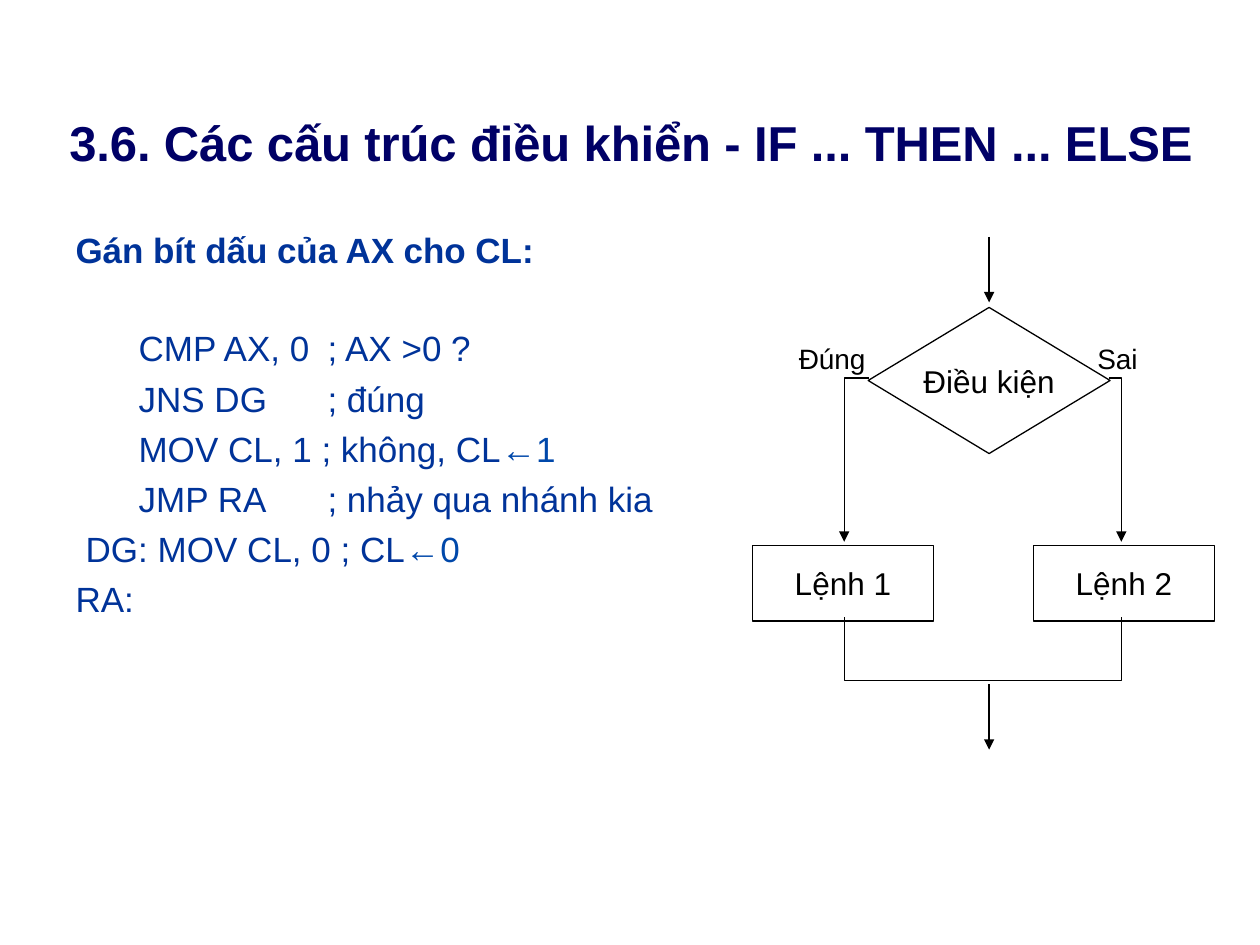
from lxml.etree import SubElement
from pptx import Presentation
from pptx.dml.color import RGBColor
from pptx.enum.shapes import MSO_CONNECTOR, MSO_SHAPE
from pptx.enum.text import MSO_ANCHOR, MSO_AUTO_SIZE, PP_ALIGN
from pptx.oxml.ns import qn
from pptx.util import Inches, Pt

COLUMNS, ROWS = 100, 75
CELL = Inches(10) / COLUMNS
BLACK, NAVY, BLUE, BRIGHT = "000000", "000066", "003399", "0048AA"
TITLE = "3.6. Các cấu trúc điều khiển - IF ... THEN ... ELSE"
HEADING = "Gán bít dấu của AX cho CL:"
CODE_LINES = [
    ("CMP AX, 0\t; AX >0 ?", "", 5),
    ("JNS DG\t; đúng", "", 5),
    ("MOV CL, 1 ; không, CL", "←1", 5),
    ("JMP RA\t; nhảy qua nhánh kia", "", 5),
    ("DG: MOV CL, 0 ; CL", "←0", 0.8),
    ("RA:", "", 0),
]


def grid(*values):
    """Turn grid units into slide lengths."""
    return [round(value * CELL) for value in values]


def color(value):
    """Return the colour for a hex string."""
    return RGBColor.from_string(value)


def set_values(target, values):
    """Set every attribute in a dict of format values."""
    for name, value in values.items():
        setattr(target, name, value)


def add_run(paragraph, text, size, hex_color, bold=False, spacing=0):
    """Add one formatted run to a paragraph."""
    run = paragraph.add_run()
    run.text = text
    set_values(run.font, {"name": "Arial", "size": Pt(size), "bold": bold})
    run.font.color.rgb = color(hex_color)
    if spacing:
        run._r.get_or_add_rPr().set("spc", str(spacing))


def prepare_frame(shape, wrap=True, anchor=MSO_ANCHOR.TOP, align=PP_ALIGN.LEFT):
    """Clear the insets of a shape's text and return its first paragraph."""
    frame = shape.text_frame
    set_values(frame, {
        "margin_left": 0, "margin_top": 0, "margin_right": 0, "margin_bottom": 0,
        "auto_size": MSO_AUTO_SIZE.NONE, "word_wrap": wrap, "vertical_anchor": anchor,
    })
    frame.paragraphs[0].alignment = align
    return frame.paragraphs[0]


def add_label(slide, box, text, size, hex_color, **style):
    """Add a one-line text box."""
    label = slide.shapes.add_textbox(*grid(*box))
    add_run(prepare_frame(label), text, size, hex_color, **style)


def add_title(slide, box):
    """Place and format the title placeholder."""
    title = slide.shapes.title
    set_values(title, dict(zip(("left", "top", "width", "height"), grid(*box))))
    add_run(prepare_frame(title), TITLE, 28, NAVY, bold=True, spacing=-5)


def add_code(slide, box):
    """Write the heading and the assembly listing under it."""
    left, top, width, height = box
    add_label(slide, (left, top, width, 3.6), HEADING, 20, BLUE, bold=True, spacing=-5)
    listing = slide.shapes.add_textbox(*grid(left, top + 7.2, width, height - 7.2))
    paragraph = prepare_frame(listing)
    for index, (text, accent, indent) in enumerate(CODE_LINES):
        if index:
            paragraph = listing.text_frame.add_paragraph()
        paragraph.line_spacing = Pt(28.7)
        properties = paragraph._p.get_or_add_pPr()
        properties.set("marL", str(grid(indent)[0]))
        properties.set("indent", "0")
        if "\t" in text:
            tabs = SubElement(properties, qn("a:tabLst"))
            SubElement(tabs, qn("a:tab"), pos=str(grid(20.1)[0]), algn="l")
        add_run(paragraph, text, 20, BLUE)
        if accent:
            add_run(paragraph, accent, 20, BRIGHT)


def set_outline(shape, arrow=False):
    """Give a shape or line the thin black stroke, with an optional arrowhead."""
    shape.line.color.rgb = color(BLACK)
    shape.line.width = Pt(0.75)
    if arrow:
        SubElement(shape.line._get_or_add_ln(), qn("a:tailEnd"), type="triangle")


def add_node(slide, kind, box, text):
    """Add an outlined flowchart node with centred text."""
    node = slide.shapes.add_shape(kind, *grid(*box))
    node.shadow.inherit = False
    node.fill.background()
    set_outline(node)
    paragraph = prepare_frame(node, False, MSO_ANCHOR.MIDDLE, PP_ALIGN.CENTER)
    add_run(paragraph, text, 18, BLACK)


def add_arrow(slide, x, top, bottom):
    """Add a straight downward arrow."""
    arrow = slide.shapes.add_connector(MSO_CONNECTOR.STRAIGHT, *grid(x, top, x, bottom))
    set_outline(arrow, arrow=True)
    SubElement(arrow._element.spPr, qn("a:effectLst"))


def add_route(slide, points, arrow=False):
    """Add an angled flow line through the points."""
    builder = slide.shapes.build_freeform(*points[0], scale=CELL)
    builder.add_line_segments(points[1:], close=False)
    route = builder.convert_to_shape()
    route.shadow.inherit = False
    route.fill.background()
    set_outline(route, arrow)


def add_flowchart(slide, box):
    """Draw the two-way branch inside its box."""
    left, top, width, height = box
    node_width, node_height, node_top = 14.4, 6, top + 24.5
    diamond_width, diamond_height, diamond_top = 19.2, 11.6, top + 5.6
    center, middle = left + 18.8, diamond_top + diamond_height / 2
    diamond_left = center - diamond_width / 2
    add_node(slide, MSO_SHAPE.DIAMOND,
             (diamond_left, diamond_top, diamond_width, diamond_height), "Điều kiện")
    branches = [
        (left, diamond_left, left + 3.7, "Đúng", "Lệnh 1", 0.2),
        (left + width - node_width, diamond_left + diamond_width, left + 27.4,
         "Sai", "Lệnh 2", 0.5),
    ]
    node_centers = []
    for node_left, corner, label_left, label, command, gap in branches:
        x = node_left + node_width / 2
        node_centers.append(x)
        add_label(slide, (label_left, top + 8.3, 6, 2.9), label, 16, BLACK)
        add_node(slide, MSO_SHAPE.RECTANGLE,
                 (node_left, node_top, node_width, node_height), command)
        add_route(slide, [(corner, middle), (x, middle), (x, node_top - gap)], arrow=True)
    first, second = node_centers
    node_bottom, join = node_top + node_height, top + 35.5
    add_route(slide, [(first, node_bottom), (first, join), (second, join), (second, node_bottom)])
    add_arrow(slide, center, top, top + 5.2)
    add_arrow(slide, center, join, top + height)


def main():
    """Build and save the presentation."""
    presentation = Presentation()
    presentation.slide_width, presentation.slide_height = grid(COLUMNS, ROWS)
    slide = presentation.slides.add_slide(presentation.slide_layouts[5])
    add_title(slide, (5.5, 8.9, 90, 4.9))
    add_code(slide, (6, 18.1, 47, 31.5))
    add_flowchart(slide, (59.7, 18.8, 36.7, 40.7))
    presentation.save("out.pptx")


if __name__ == "__main__":
    main()
